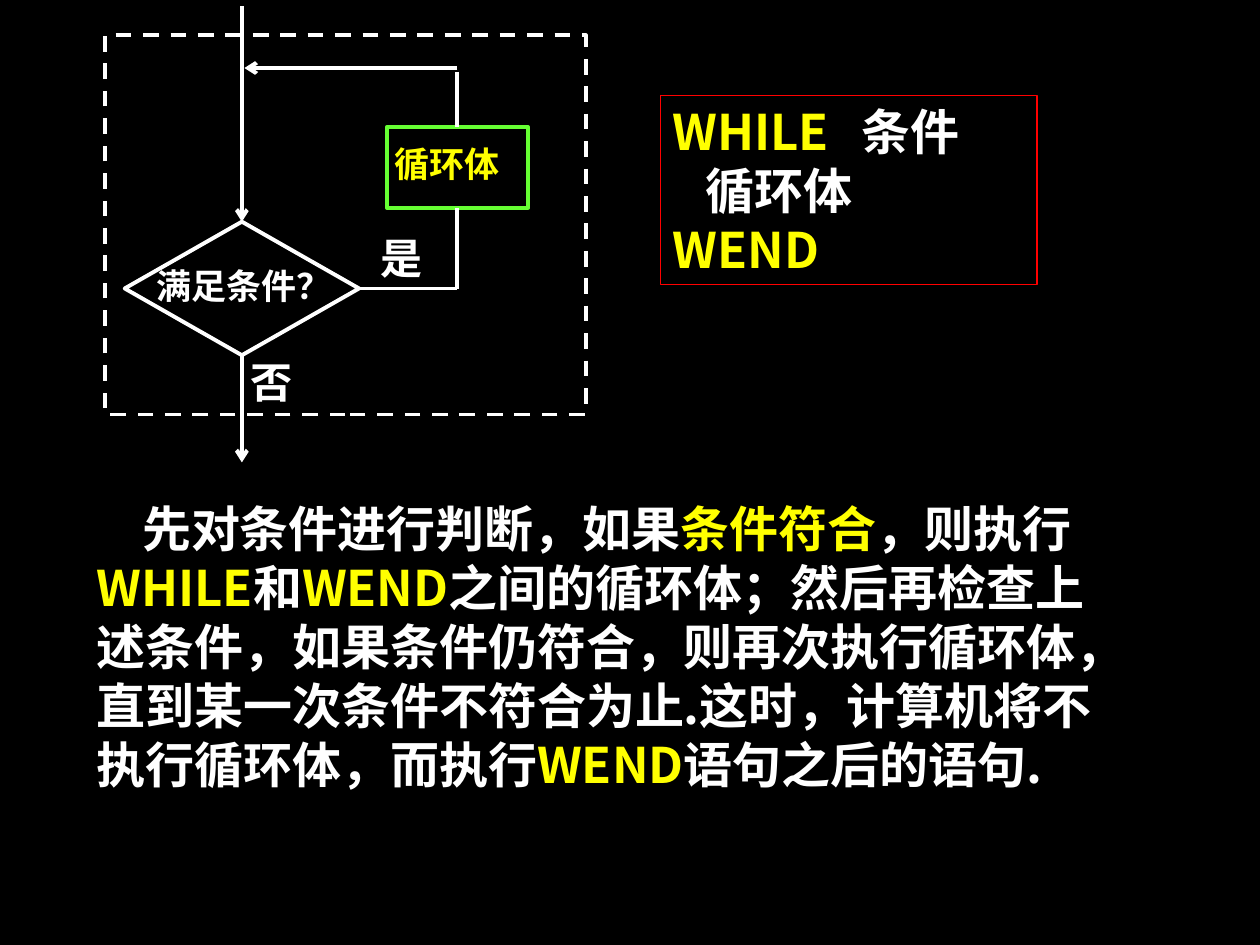
from dataclasses import dataclass

import pptx
import pptx.util
import pptx.dml.color
import pptx.enum.dml
import pptx.enum.shapes
import pptx.enum.text
import pptx.oxml.ns
from lxml import etree
from pptx.util import Inches

SHAPE = pptx.enum.shapes.MSO_SHAPE
TOP, LEFT, BOTTOM, RIGHT = range(4)


@dataclass(frozen=True)
class Theme:
    back: str = "000000"
    text: str = "FFFFFF"
    key: str = "FFFF00"
    body: str = "66FF33"
    frame: str = "FF0000"
    sans: str = "Noto Sans CJK SC"
    serif: str = "Times New Roman"
    large: int = 28
    mid: int = 24
    small: int = 20
    stroke: float = 2.25
    thin: float = 0.75


THEME = Theme()


def color(code):
    return pptx.dml.color.RGBColor.from_string(code)


def add_tag(parent, tag, **attrs):
    return etree.SubElement(parent, pptx.oxml.ns.qn(tag), attrs)


def set_font(font, size, face, tint=None):
    """Style a font, using the sans face for Chinese letters."""
    font.size, font.bold, font.name = pptx.util.Pt(size), True, face
    if tint:
        font.color.rgb = color(tint)
    add_tag(font._element, "a:ea", typeface=THEME.sans)


def indent(para, first=0, tab=None):
    """Indent the first line and, if asked, set one tab stop (inches)."""
    props = para._p.get_or_add_pPr()
    props.set("indent", str(Inches(first)))
    if tab:
        stops = add_tag(props, "a:tabLst")
        add_tag(stops, "a:tab", pos=str(Inches(tab)), algn="l")


def add_runs(para, parts):
    """Write (text, color) parts in the large sans type."""
    for text, tint in parts:
        run = para.add_run()
        run.text = text
        set_font(run.font, THEME.large, THEME.sans, tint)


def add_box(slide, kind, place, tint, width=THEME.stroke):
    box = slide.shapes.add_shape(kind, *map(Inches, place))
    box.shadow.inherit = False
    box.fill.background()
    box.line.color.rgb = color(tint)
    box.line.width = pptx.util.Pt(width)
    return box


def add_text(slide, place):
    box = slide.shapes.add_textbox(*map(Inches, place))
    box.text_frame.word_wrap = True
    return box.text_frame


def add_label(slide, place, text, size, tint=THEME.text):
    para = add_text(slide, place).paragraphs[0]
    para.text = text
    para.alignment = pptx.enum.text.PP_ALIGN.JUSTIFY
    set_font(para.font, size, THEME.serif, tint)


def add_line(slide, start, end, arrow=False, source=None, target=None):
    """Draw a line; source and target are (shape, side) joints."""
    line = slide.shapes.add_connector(
        pptx.enum.shapes.MSO_CONNECTOR.STRAIGHT, *map(Inches, start + end))
    if source:
        line.begin_connect(*source)
    if target:
        line.end_connect(*target)
    line.line.color.rgb = color(THEME.text)
    line.line.width = pptx.util.Pt(THEME.stroke)
    if arrow:
        add_tag(line.line._get_or_add_ln(), "a:tailEnd", type="arrow")
    add_tag(line._element.spPr, "a:effectLst")


def add_chart(slide):
    """Draw the flow chart of the loop."""
    body = add_box(slide, SHAPE.RECTANGLE, (3.07, 1.01, 1.12, 0.64), THEME.body)
    test = add_box(slide, SHAPE.DIAMOND, (0.99, 1.76, 1.86, 1.06), THEME.text)

    add_label(slide, (3.03, 1.08, 1.26, 0.64), "循环体", THEME.small, THEME.key)
    add_label(slide, (1.14, 2.05, 2.05, 0.64), "满足条件？", THEME.small)
    add_label(slide, (2.92, 1.8, 0.48, 0.64), "是", THEME.mid)
    add_label(slide, (1.89, 2.78, 0.48, 0.64), "否", THEME.mid)

    main_x, loop_x = 1.92, 3.63
    add_line(slide, (main_x, 0.05), (main_x, 1.76), True, target=(test, TOP))
    add_line(slide, (main_x, 2.82), (main_x, 3.67), True, source=(test, BOTTOM))
    add_line(slide, (2.85, 2.29), (loop_x, 2.29), source=(test, RIGHT))
    add_line(slide, (loop_x, 2.29), (loop_x, 1.65), target=(body, BOTTOM))
    add_line(slide, (loop_x, 0.57), (loop_x, 1.01), target=(body, TOP))
    add_line(slide, (loop_x, 0.54), (1.94, 0.54), True)

    border = add_box(slide, SHAPE.RECTANGLE, (0.83, 0.28, 3.82, 3.01), THEME.text)
    border.line.dash_style = pptx.enum.dml.MSO_LINE.DASH


def add_syntax(slide):
    box = add_box(slide, SHAPE.RECTANGLE, (5.24, 0.76, 2.99, 1.5),
                  THEME.frame, THEME.thin)
    frame = box.text_frame
    frame.word_wrap = True
    frame.vertical_anchor = pptx.enum.text.MSO_ANCHOR.TOP
    rows = [
        ([("WHILE\t", THEME.key), ("条件", THEME.text)], 0, 1.59),
        ([("循环体", THEME.text)], 0.26, None),
        ([("WEND", THEME.key)], 0, None),
    ]
    for index, (parts, first, tab) in enumerate(rows):
        para = frame.add_paragraph() if index else frame.paragraphs[0]
        para.alignment = pptx.enum.text.PP_ALIGN.LEFT
        indent(para, first, tab)
        add_runs(para, parts)


def add_notes(slide):
    """Write the paragraph that explains the loop."""
    para = add_text(slide, (0.67, 3.91, 8.23, 2.94)).paragraphs[0]
    indent(para, 0.36)
    add_runs(para, [
        ("先对条件进行判断，如果", THEME.text),
        ("条件符合", THEME.key),
        ("，则执行", THEME.text),
        ("WHILE", THEME.key),
        ("和", THEME.text),
        ("WEND", THEME.key),
        ("之间的循环体；然后再检查上述条件，如果条件仍符合，则再次执行循环体，"
         "直到某一次条件不符合为止.这时，计算机将不执行循环体，而执行", THEME.text),
        ("WEND", THEME.key),
        ("语句之后的语句.", THEME.text),
    ])


def main():
    deck = pptx.Presentation()
    deck.slide_width, deck.slide_height = Inches(10), Inches(7.5)
    slide = deck.slides.add_slide(deck.slide_layouts[6])
    slide.background.fill.solid()
    slide.background.fill.fore_color.rgb = color(THEME.back)
    add_syntax(slide)
    add_chart(slide)
    add_notes(slide)
    deck.save("out.pptx")


if __name__ == "__main__":
    main()
